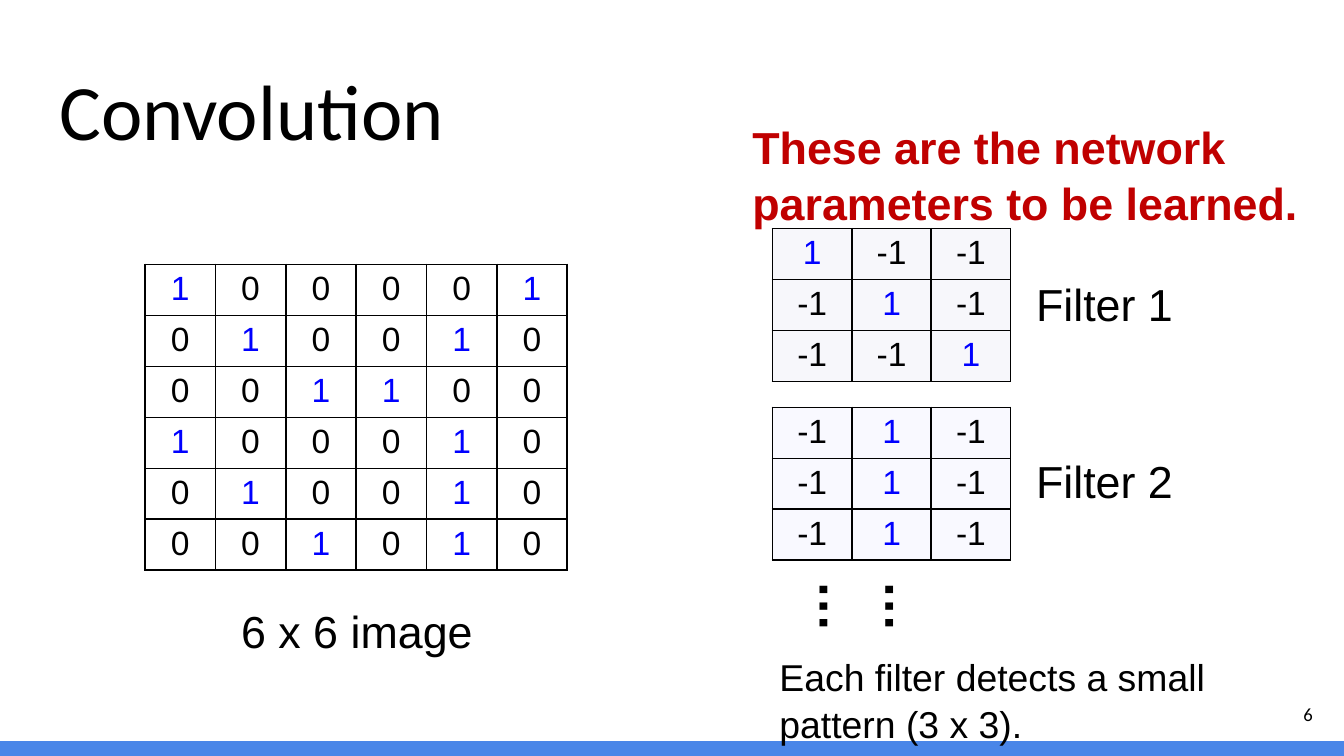
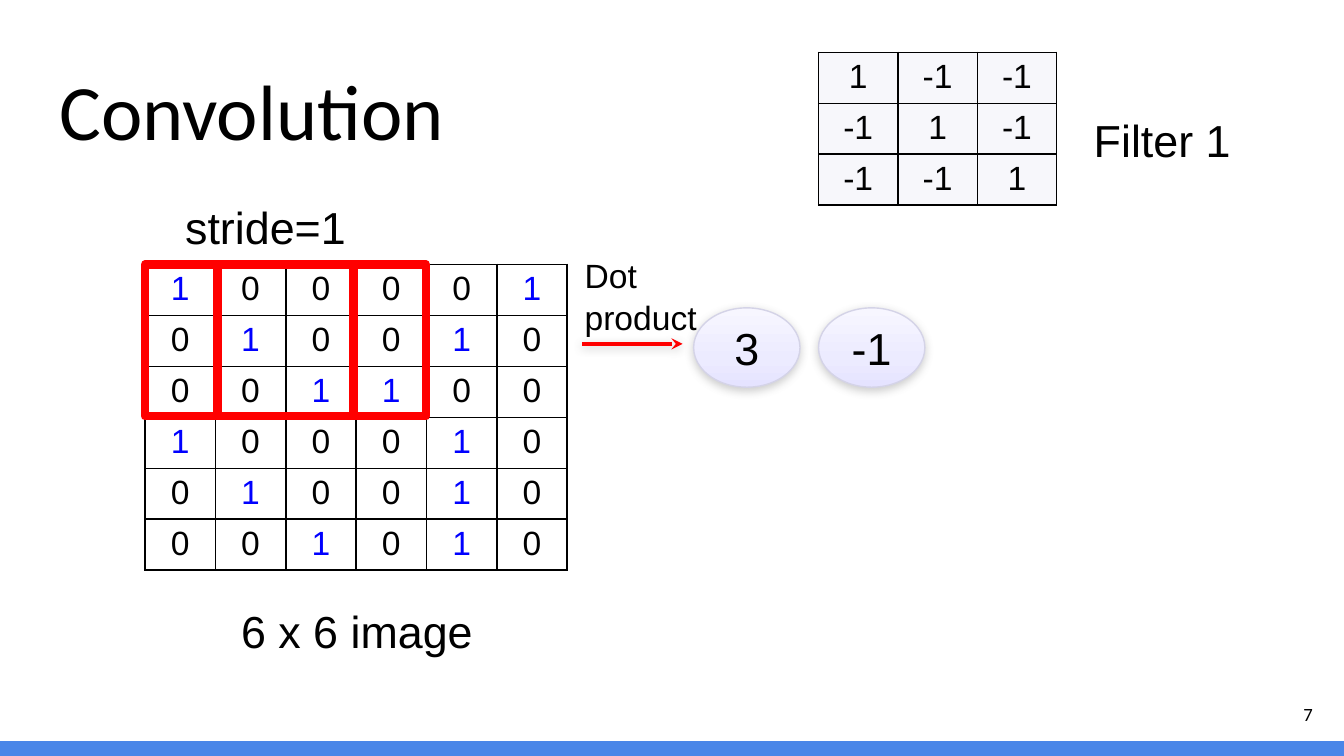
import pptx
import pptx.dml.color
import pptx.enum.shapes
import pptx.enum.text
import pptx.oxml
import pptx.oxml.ns
import pptx.util
from lxml import etree

Cm = pptx.util.Cm
Pt = pptx.util.Pt
qn = pptx.oxml.ns.qn
ALIGN = pptx.enum.text.PP_ALIGN
ANCHOR = pptx.enum.text.MSO_ANCHOR
AUTO_SIZE = pptx.enum.text.MSO_AUTO_SIZE
SHAPE = pptx.enum.shapes.MSO_SHAPE

# Colours
BLACK, BLUE, RED, DARK_RED = "000000", "0000FF", "FF0000", "C00000"
BAND, FILTER_1_FILL, FILTER_2_FILL = "4A86E8", "F7F7FB", "F9F9FF"
BUBBLE_LINE, SHADOW = "D4D3E7", "808080"
BUBBLE_STOPS = [(0, "F7F6FF"), (65, "ECEBFF"), (100, "E5E3FF")]

# Matrices
IMAGE = ["1 0 0 0 0 1", "0 1 0 0 1 0", "0 0 1 1 0 0",
         "1 0 0 0 1 0", "0 1 0 0 1 0", "0 0 1 0 1 0"]
FILTER_1 = ["1 -1 -1", "-1 1 -1", "-1 -1 1"]
FILTER_2 = ["-1 1 -1"] * 3

# Matrix grid, in cm
IMAGE_LEFT, IMAGE_TOP = 2.74, 5
IMAGE_COLUMN, FILTER_COLUMN, ROW = 1.33, 1.5, 0.95


def color(value):
    return pptx.dml.color.RGBColor.from_string(value)


def add_xml(parent, tag, **attributes):
    element = etree.SubElement(parent, qn(tag))
    for name, value in attributes.items():
        element.set(name, str(value))
    return element


def add_shadow(shape):
    """Replace the theme shadow by a soft one below the shape."""
    properties = shape._element.spPr
    effects = properties.find(qn("a:effectLst"))
    if effects is None:
        effects = add_xml(properties, "a:effectLst")
    outer = add_xml(effects, "a:outerShdw", blurRad=Pt(5), dist=Pt(1.6),
                    dir=90 * 60000, rotWithShape=0)
    tint = add_xml(outer, "a:srgbClr", val=SHADOW)
    add_xml(tint, "a:alpha", val=38000)


class Builder:
    """Holds the deck, its style and the current slide."""

    font = "Arial"
    heading_font = "Calibri"

    def __init__(self):
        self.deck = pptx.Presentation()
        self.deck.slide_width, self.deck.slide_height = Cm(25.4), Cm(14.29)
        self.slide = None

    def page(self, title, number):
        self.slide = self.deck.slides.add_slide(self.deck.slide_layouts[6])
        band = self.shape(SHAPE.RECTANGLE, 0, 14.01, 25.4, 0.28)
        band.fill.solid()
        band.fill.fore_color.rgb = color(BAND)
        band.line.fill.background()
        self.heading(title, 0.87, 0.89, 23.67, 2.31, 42, ANCHOR.BOTTOM)
        self.heading(str(number), 23.54, 12.95, 1.52, 1.09, 10,
                     ANCHOR.MIDDLE, ALIGN.RIGHT)

    def fill_text(self, frame, text, size, ink=BLACK, align=ALIGN.LEFT,
                  bold=False, font=None, spacing=None):
        frame.text = text
        for paragraph in frame.paragraphs:
            paragraph.alignment = align
            paragraph.line_spacing = spacing
            paragraph.font.name = font or self.font
            paragraph.font.size = Pt(size)
            paragraph.font.bold = bold
            paragraph.font.color.rgb = color(ink)

    def box(self, left, top, width, height):
        box = self.slide.shapes.add_textbox(Cm(left), Cm(top), Cm(width), Cm(height))
        box.text_frame.word_wrap = True
        return box

    def heading(self, text, left, top, width, height, size, anchor,
                align=ALIGN.LEFT):
        frame = self.box(left, top, width, height).text_frame
        frame.vertical_anchor = anchor
        frame.margin_top = frame.margin_bottom = Cm(0.25)
        self.fill_text(frame, text, size, align=align, font=self.heading_font)

    def text(self, text, left, top, width, height, size=24, **style):
        box = self.box(left, top, width, height)
        box.text_frame.auto_size = AUTO_SIZE.SHAPE_TO_FIT_TEXT
        self.fill_text(box.text_frame, text, size, spacing=1.05, **style)
        return box

    def label(self, text, left, top, width=4.01):
        self.text(text, left, top, width, 1.27, align=ALIGN.CENTER)

    def shape(self, kind, left, top, width, height):
        shape = self.slide.shapes.add_shape(kind, Cm(left), Cm(top), Cm(width), Cm(height))
        shape.shadow.inherit = False
        return shape

    def matrix(self, rows, left, top, column, fill=None, highlight=True):
        values = [row.split() for row in rows]
        count = len(values[0])
        table = self.slide.shapes.add_table(
            len(values), count, Cm(left), Cm(top),
            Cm(column * count), Cm(ROW * len(values))).table
        table.first_row = table.horz_banding = False
        for table_column in table.columns:
            table_column.width = Cm(column)
        for table_row, row in zip(table.rows, values):
            table_row.height = Cm(ROW)
            for cell, value in zip(table_row.cells, row):
                cell.margin_top = cell.margin_bottom = Cm(0.1)
                ink = BLUE if highlight and value == "1" else BLACK
                self.fill_text(cell.text_frame, value, 18, ink, ALIGN.CENTER)
                self.cell_style(cell, fill)

    def cell_style(self, cell, fill):
        properties = cell._tc.get_or_add_tcPr()
        for side in ("a:lnL", "a:lnR", "a:lnT", "a:lnB"):
            border = add_xml(properties, side, w=Pt(1))
            add_xml(add_xml(border, "a:solidFill"), "a:srgbClr", val=BLACK)
        if fill:
            cell.fill.solid()
            cell.fill.fore_color.rgb = color(fill)
        else:
            cell.fill.background()

    def image(self):
        self.matrix(IMAGE, IMAGE_LEFT, IMAGE_TOP, IMAGE_COLUMN)
        self.label("6 x 6 image", 3.48, 11.23, 6.53)

    def window(self, left):
        frame = self.shape(SHAPE.RECTANGLE, left, IMAGE_TOP, 3.94, 2.87)
        frame.fill.background()
        frame.line.color.rgb = color(RED)
        frame.line.width = Pt(4.5)

    def bubble(self, text, left):
        bubble = self.shape(SHAPE.OVAL, left, 5.82, 2.01, 1.5)
        bubble.fill.gradient()
        bubble.fill.gradient_angle = 270
        stops = bubble._element.spPr.find(".//" + qn("a:gsLst"))
        stops.clear()
        for position, tint in BUBBLE_STOPS:
            stop = add_xml(stops, "a:gs", pos=position * 1000)
            add_xml(stop, "a:srgbClr", val=tint)
        bubble.line.color.rgb = color(BUBBLE_LINE)
        bubble.line.width = Pt(0.75)
        add_shadow(bubble)
        bubble.text_frame.vertical_anchor = ANCHOR.MIDDLE
        self.fill_text(bubble.text_frame, text, 24, align=ALIGN.CENTER)

    def arrow(self, left, right, y):
        arrow = self.slide.shapes.add_connector(
            pptx.enum.shapes.MSO_CONNECTOR.STRAIGHT, Cm(left), Cm(y), Cm(right), Cm(y))
        arrow.line.color.rgb = color(RED)
        arrow.line.width = Pt(2)
        outline = arrow._element.spPr.find(qn("a:ln"))
        add_xml(outline, "a:tailEnd", type="stealth")
        add_shadow(arrow)


def filters_page(builder):
    builder.page("Convolution", 6)
    builder.image()

    # Filters and their labels
    builder.matrix(FILTER_1, 14.6, 4.32, FILTER_COLUMN, FILTER_1_FILL)
    builder.label("Filter 1", 18.87, 5.05)
    builder.matrix(FILTER_2, 14.6, 7.7, FILTER_COLUMN, FILTER_2_FILL)
    builder.label("Filter 2", 18.87, 8.41)
    dots = builder.text("……", 15.85, 10.13, 1.47, 2.64, 28, bold=True)
    dots.rotation = 90

    # Remarks
    builder.text("These are the network parameters to be learned.",
                 13.97, 2.08, 11, 2.31, ink=DARK_RED, bold=True)
    builder.text("Each filter detects a small pattern (3 x 3).",
                 14.48, 12.19, 9.88, 1.96, 20)


def stride_page(builder):
    builder.page("Convolution", 7)
    builder.image()
    builder.matrix(FILTER_1, 15.47, 0.99, FILTER_COLUMN, FILTER_1_FILL,
                   highlight=False)
    builder.label("Filter 1", 19.96, 1.96)

    # Sliding window and its results
    for window_left, result, result_left in [(IMAGE_LEFT, "3", 13.11),
                                             (4.11, "-1", 15.47)]:
        builder.window(window_left)
        builder.bubble(result, result_left)
    builder.text("stride=1", 3.25, 3.61, 3.81, 1.27)
    builder.arrow(11, 12.9, 6.5)
    builder.text("Dot\nproduct", 10.8, 4.65, 2.64, 1.8, 18)


def main():
    builder = Builder()
    filters_page(builder)
    stride_page(builder)
    builder.deck.save("out.pptx")


if __name__ == "__main__":
    main()
